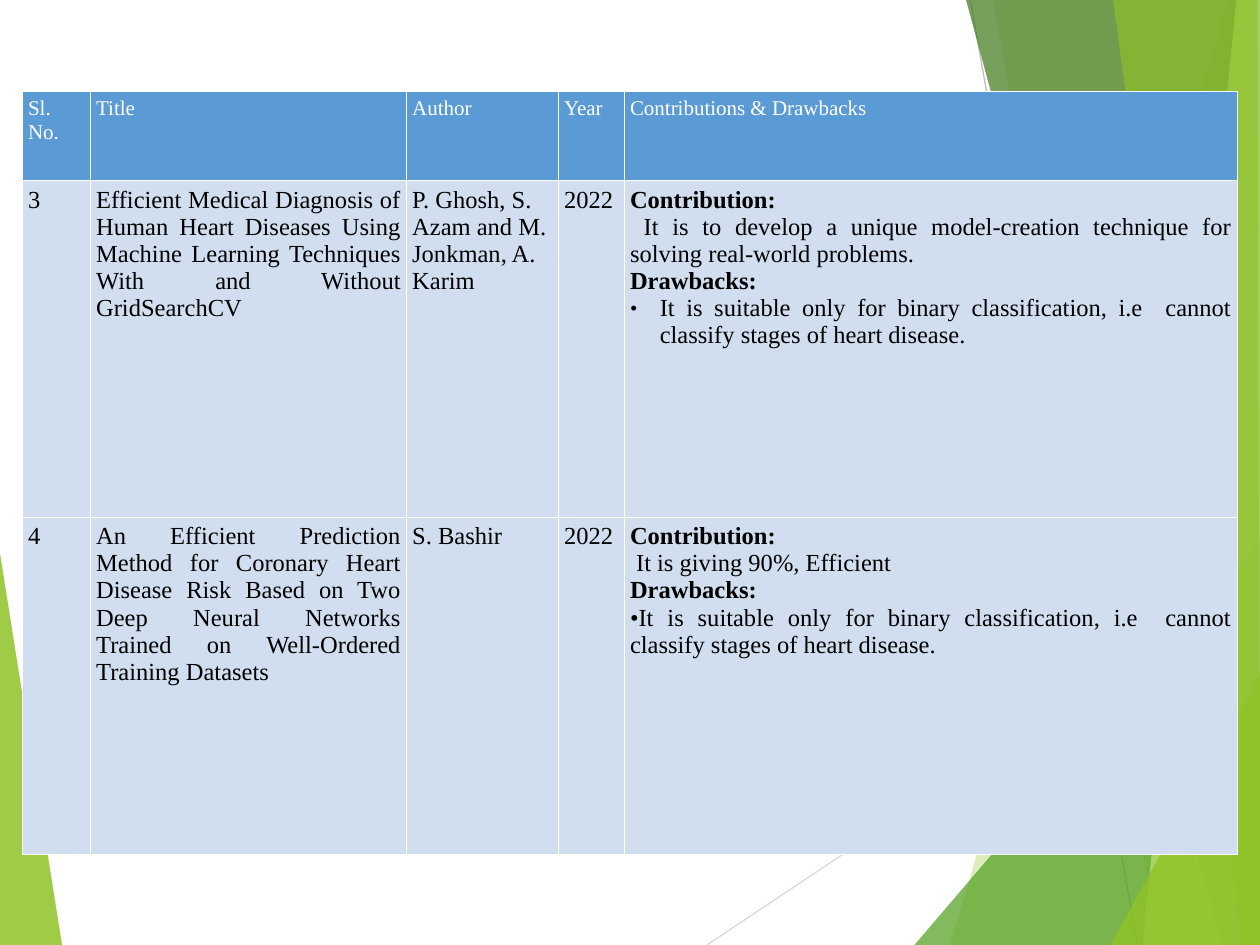
from dataclasses import dataclass

from lxml.etree import SubElement
from pptx import Presentation
from pptx.dml.color import RGBColor
from pptx.enum.shapes import MSO_CONNECTOR as Connector
from pptx.enum.text import PP_ALIGN as Align
from pptx.oxml.ns import qn
from pptx.util import Pt


@dataclass(frozen=True)
class Theme:
    font: str = "Times New Roman"
    head_size: float = 12
    body_size: float = 14
    head_fill: str = "5B9BD5"
    body_fill: str = "D0DEEF"
    head_text: str = "FFFFFF"
    body_text: str = "000000"
    border: str = "FFFFFF"
    thin: float = 0.34
    thick: float = 0.96
    lime: str = "90C226"
    pale_lime: str = "C0E474"
    green: str = "54A021"
    dark_green: str = "3F7819"
    light_gray: str = "D9D9D9"
    gray: str = "BFBFBF"


THEME = Theme()
WIDTH, HEIGHT = 720, 540

LEFT_FACETS = [
    (THEME.lime, 85, [(0, 316), (35.5, 540), (0, 540)]),
]
RIGHT_FACETS = [
    (THEME.lime, 30, [(702, 0), (543, 540), (720, 540), (720, 0)]),
    (THEME.lime, 20, [(567.5, 0), (662.5, 540), (720, 540), (720, 0)]),
    (THEME.green, 72, [(522.5, 540), (720, 309), (720, 540)]),
    (THEME.dark_green, 70, [(552, 0), (698.5, 540), (720, 540), (720, 0)]),
    (THEME.pale_lime, 70, [(706.5, 0), (653, 540), (720, 540), (720, 0)]),
    (THEME.lime, 65, [(636, 0), (710, 540), (720, 540), (718.5, 0)]),
    (THEME.lime, 80, [(634.5, 540), (720, 385), (720, 540)]),
]
RAYS = [
    (THEME.light_gray, (404, 540), (720, 329)),
    (THEME.gray, (554.5, 0), (650, 540)),
]

COLUMNS = [38.9, 180.6, 86.8, 37.7, 350.4]
ROWS = [51, 192.4, 192.4]
HEADINGS = ["Sl. No.", "Title", "Author", "Year", "Contributions & Drawbacks"]
LIMIT = "It is suitable only for binary classification, i.e  cannot classify stages of heart disease."
PAPERS = [
    ["3",
     "Efficient Medical Diagnosis of Human Heart Diseases Using Machine Learning "
     "Techniques With and Without GridSearchCV",
     "P. Ghosh, S. Azam and M. Jonkman, A. Karim",
     "2022",
     [" It is to develop a unique model-creation technique for solving real-world problems.", LIMIT]],
    ["4",
     "An Efficient Prediction Method for Coronary Heart Disease Risk Based on Two "
     "Deep Neural Networks Trained on Well-Ordered Training Datasets",
     "S. Bashir",
     "2022",
     [" It is giving 90%, Efficient", "•" + LIMIT]],
]


def color(value):
    return RGBColor.from_string(value)


def add_facets(page, left, top, facets):
    for fill, opacity, corners in facets:
        points = [(Pt(left + x), Pt(top + y)) for x, y in corners]
        builder = page.shapes.build_freeform(*points[0])
        builder.add_line_segments(points[1:], close=True)
        facet = builder.convert_to_shape()
        facet.shadow.inherit = False
        facet.fill.solid()
        facet.fill.fore_color.rgb = color(fill)
        facet.line.fill.background()
        tint = facet.fill._xPr.find(qn("a:solidFill"))[0]
        SubElement(tint, qn("a:alpha"), val=str(opacity * 1000))


def add_rays(page, left, top, rays):
    for shade, start, end in rays:
        ray = page.shapes.add_connector(
            Connector.STRAIGHT, Pt(left + start[0]), Pt(top + start[1]),
            Pt(left + end[0]), Pt(top + end[1]))
        ray.line.color.rgb = color(shade)
        ray.line.width = Pt(0.75)
        SubElement(ray._element.spPr, qn("a:effectLst"))


def add_span(para, text, size, ink, bold=False):
    span = para.add_run()
    span.text = text
    span.font.name = THEME.font
    span.font.size = Pt(size)
    span.font.bold = bold
    span.font.color.rgb = color(ink)


def add_bullet(para, indent):
    properties = para._p.get_or_add_pPr()
    properties.set("marL", str(Pt(indent)))
    properties.set("indent", str(-Pt(indent)))
    bullet_color = SubElement(properties, qn("a:buClr"))
    SubElement(bullet_color, qn("a:srgbClr"), val=THEME.body_text)
    SubElement(properties, qn("a:buSzPct"), val="85000")
    SubElement(properties, qn("a:buFont"), typeface=THEME.font)
    SubElement(properties, qn("a:buChar"), char="•")


def style_cell(cell, fill, top, bottom):
    cell.margin_left = cell.margin_right = Pt(3.25)
    cell.margin_top = cell.margin_bottom = Pt(3.25)
    properties = cell._tc.get_or_add_tcPr()
    sides = {"a:lnL": THEME.thin, "a:lnR": THEME.thin, "a:lnT": top, "a:lnB": bottom}
    for side, width in sides.items():
        edge = SubElement(properties, qn(side), w=str(Pt(width)))
        SubElement(SubElement(edge, qn("a:solidFill")), qn("a:srgbClr"), val=THEME.border)
    cell.fill.solid()
    cell.fill.fore_color.rgb = color(fill)


def fill_findings(box, contribution, drawback):
    lines = [("Contribution:", True), (contribution, False),
             ("Drawbacks:", True), (drawback, False)]
    for index, (text, bold) in enumerate(lines):
        para = box.add_paragraph() if index else box.paragraphs[0]
        para.alignment = Align.JUSTIFY
        if text == LIMIT:
            add_bullet(para, 17)
        add_span(para, text, THEME.body_size, THEME.body_text, bold)


def add_survey_table(page, left, top):
    frame = page.shapes.add_table(
        len(ROWS), len(COLUMNS), Pt(left), Pt(top), Pt(sum(COLUMNS)), Pt(sum(ROWS)))
    table = frame.table
    table.horz_banding = False
    for column, width in zip(table.columns, COLUMNS):
        column.width = Pt(width)
    for row, height in zip(table.rows, ROWS):
        row.height = Pt(height)

    for cell, heading in zip(table.rows[0].cells, HEADINGS):
        style_cell(cell, THEME.head_fill, THEME.thin, THEME.thick)
        add_span(cell.text_frame.paragraphs[0], heading, THEME.head_size, THEME.head_text)

    for number, paper in enumerate(PAPERS, 1):
        bottom = THEME.thin if number == len(PAPERS) else THEME.thick
        cells = list(table.rows[number].cells)
        for cell in cells:
            style_cell(cell, THEME.body_fill, THEME.thick, bottom)
        for heading, cell, text in zip(HEADINGS[:-1], cells, paper):
            para = cell.text_frame.paragraphs[0]
            para.alignment = Align.LEFT if heading == "Author" else Align.JUSTIFY
            add_span(para, text, THEME.body_size, THEME.body_text)
        fill_findings(cells[-1].text_frame, *paper[-1])


def main():
    deck = Presentation()
    deck.slide_width, deck.slide_height = Pt(WIDTH), Pt(HEIGHT)
    page = deck.slides.add_slide(deck.slide_layouts[6])
    add_facets(page, 0, 0, LEFT_FACETS)
    add_rays(page, 0, 0, RAYS)
    add_facets(page, 0, 0, RIGHT_FACETS)
    add_survey_table(page, 12.8, 52.2)
    deck.save("out.pptx")


if __name__ == "__main__":
    main()
